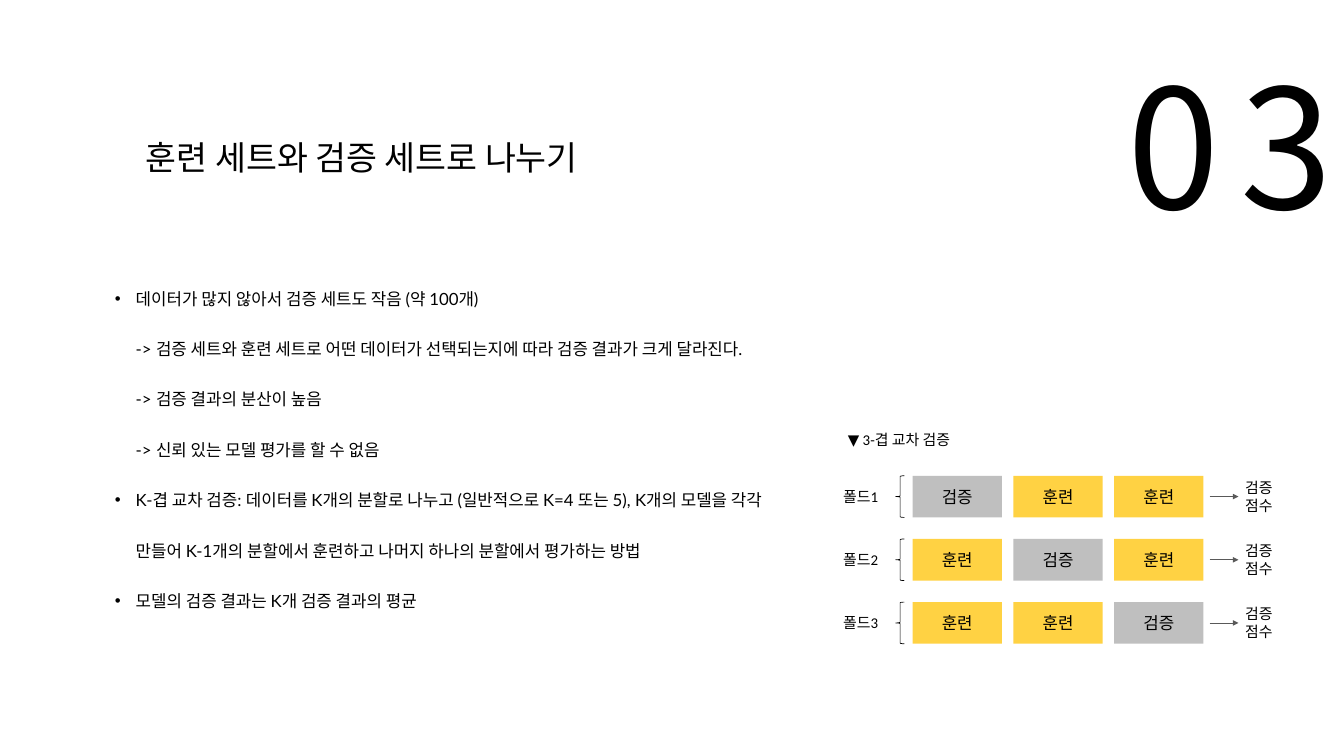
from pptx import Presentation
from pptx.dml.color import RGBColor
from pptx.enum.shapes import MSO_CONNECTOR, MSO_SHAPE
from pptx.enum.text import MSO_ANCHOR, MSO_AUTO_SIZE, PP_ALIGN
from pptx.oxml.ns import qn
from pptx.util import Pt
from lxml.etree import SubElement

PX = 9144  # 100 px to the inch
COLORS = {"text": "000000", "train": "FFD243", "validate": "BFBFBF", "arrow": "595959"}
HANGUL = "Noto Sans CJK KR"
FOLDS = 3
POINTS = [
    (True, "데이터가 많지 않아서 검증 세트도 작음 (약 100개)"),
    (False, "-> 검증 세트와 훈련 세트로 어떤 데이터가 선택되는지에 따라 검증 결과가 크게 달라진다."),
    (False, "-> 검증 결과의 분산이 높음"),
    (False, "-> 신뢰 있는 모델 평가를 할 수 없음"),
    (True, "K-겹 교차 검증: 데이터를 K개의 분할로 나누고 (일반적으로 K=4 또는 5), "
           "K개의 모델을 각각 만들어 K-1개의 분할에서 훈련하고 나머지 하나의 분할에서 평가하는 방법"),
    (True, "모델의 검증 결과는 K개 검증 결과의 평균"),
]


def emu(*lengths):
    return [length * PX for length in lengths]


def color(name):
    return RGBColor.from_string(COLORS[name])


def add_run(paragraph, text, size, font="Calibri"):
    run = paragraph.add_run()
    run.text = text
    run.font.size = Pt(size)
    run.font.color.rgb = color("text")
    run.font.name = font
    SubElement(run.font._element, qn("a:ea"), typeface=HANGUL)
    return run


def place(placeholder, box):
    """Move a placeholder to its box, with text from the top at full size."""
    placeholder.left, placeholder.top, placeholder.width, placeholder.height = emu(*box)
    frame = placeholder.text_frame
    frame.word_wrap = True
    frame.auto_size = MSO_AUTO_SIZE.NONE
    frame.vertical_anchor = MSO_ANCHOR.TOP
    return frame


def fill_title(slide, box):
    paragraph = place(slide.shapes.title, box).paragraphs[0]
    paragraph.alignment = PP_ALIGN.LEFT
    add_run(paragraph, "훈련 세트와 검증 세트로 나누기", 36)


def fill_points(slide, box):
    frame = place(slide.placeholders[1], box)
    indent = 31 * PX
    for index, (bulleted, text) in enumerate(POINTS):
        paragraph = frame.paragraphs[0] if index == 0 else frame.add_paragraph()
        paragraph.line_spacing = 2.5
        paragraph.space_before = Pt(0)
        properties = paragraph._p.get_or_add_pPr()
        properties.set("marL", str(indent))
        properties.set("indent", str(-indent if bulleted else 0))
        if bulleted:
            SubElement(properties, qn("a:buFont"), typeface="Arial")
            SubElement(properties, qn("a:buChar"), char="•")
        else:
            SubElement(properties, qn("a:buNone"))
        add_run(paragraph, text, 18, "Lato")


def add_label(slide, box, lines, size=16):
    label = slide.shapes.add_textbox(*emu(*box))
    frame = label.text_frame
    frame.word_wrap = True
    for index, line in enumerate(lines):
        paragraph = frame.paragraphs[0] if index == 0 else frame.add_paragraph()
        add_run(paragraph, line, size)
    return label


def add_section_number(slide, box):
    number = slide.shapes.add_textbox(*emu(*box))
    number.text_frame.word_wrap = True
    paragraph = number.text_frame.paragraphs[0]
    paragraph.alignment = PP_ALIGN.CENTER
    run = add_run(paragraph, "03", 178, HANGUL)
    run.font._element.set("spc", "2300")


def add_split(slide, box, role, caption):
    split = slide.shapes.add_shape(MSO_SHAPE.RECTANGLE, *emu(*box))
    split.shadow.inherit = False
    split.fill.solid()
    split.fill.fore_color.rgb = color(role)
    split.line.fill.background()
    split.text_frame.vertical_anchor = MSO_ANCHOR.MIDDLE
    paragraph = split.text_frame.paragraphs[0]
    paragraph.alignment = PP_ALIGN.CENTER
    add_run(paragraph, caption, 18)


def add_brace(slide, box):
    brace = slide.shapes.add_shape(MSO_SHAPE.LEFT_BRACE, *emu(*box))
    brace.shadow.inherit = False
    brace.fill.background()
    brace.line.color.rgb = color("text")
    brace.line.width = Pt(0.75)


def add_arrow(slide, start_x, y, score):
    """Draw an arrow that ends at the left side of the score label."""
    arrow = slide.shapes.add_connector(
        MSO_CONNECTOR.STRAIGHT, *emu(start_x, y), score.left, y * PX)
    arrow.end_connect(score, 1)
    arrow.line.color.rgb = color("arrow")
    arrow.line.width = Pt(0.75)
    SubElement(arrow.line._get_or_add_ln(), qn("a:tailEnd"), type="triangle")
    SubElement(arrow._element.spPr, qn("a:effectLst"))


def add_fold(slide, left, top, fold):
    """Draw one row: fold name, brace, splits, arrow and score."""
    height = 62
    add_label(slide, (left, top + 12, 76, 37), [f"폴드{fold + 1}"])
    add_brace(slide, (left + 88, top, 13, height))
    for column in range(FOLDS):
        role, caption = ("validate", "검증") if column == fold else ("train", "훈련")
        add_split(slide, (left + 113 + 150 * column, top, 133, height), role, caption)
    score = add_label(slide, (left + 598, top - 1, 65, 64), ["검증", "점수"])
    add_arrow(slide, left + 555, top + height // 2, score)


def add_cross_validation(slide, left, top):
    add_label(slide, (left + 7, top, 188, 37), ["▼ 3-겹 교차 검증"])
    for fold in range(FOLDS):
        add_fold(slide, left, top + 72 + 94 * fold, fold)


def main():
    presentation = Presentation()
    presentation.slide_width, presentation.slide_height = emu(2000, 1125)
    slide = presentation.slides.add_slide(presentation.slide_layouts[1])
    add_section_number(slide, (1604, 60, 453, 310))
    fill_title(slide, (207, 198, 793, 71))
    fill_points(slide, (161, 379, 1022, 528))
    add_cross_validation(slide, 1245, 636)
    presentation.save("out.pptx")


if __name__ == "__main__":
    main()
